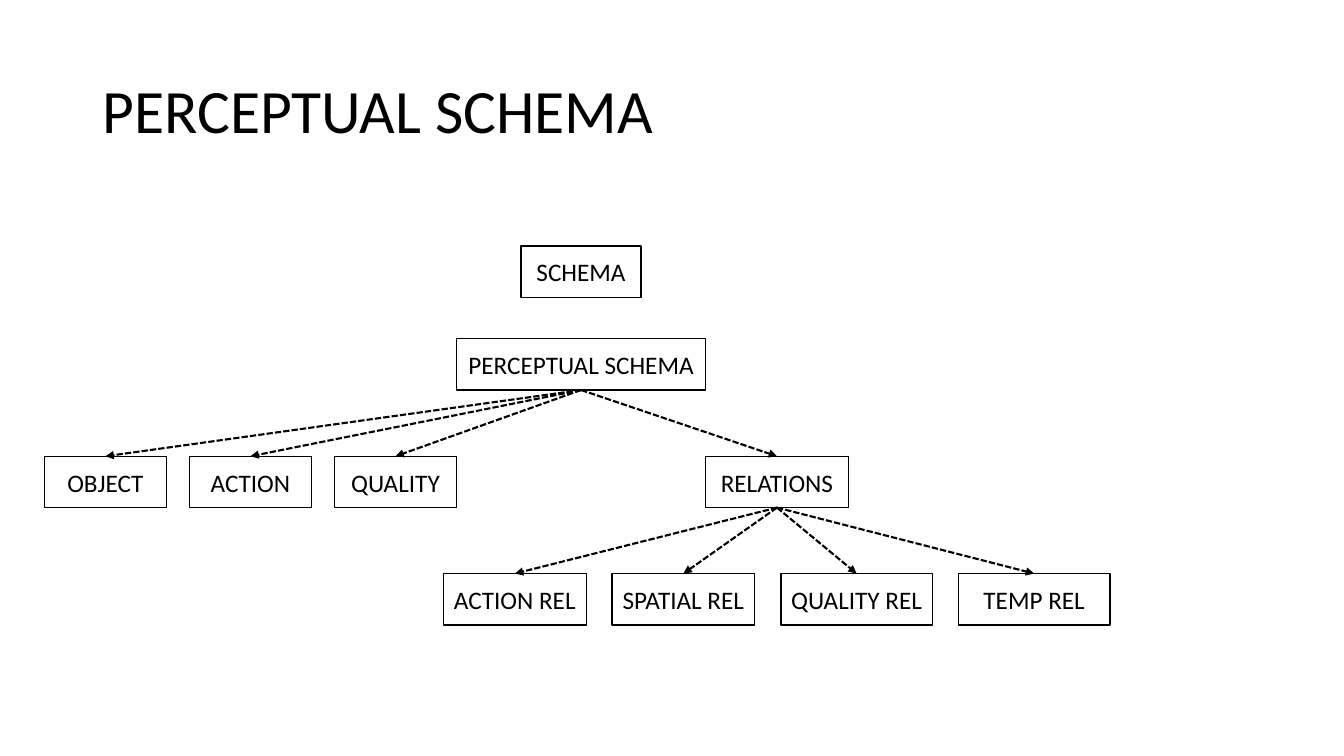
from lxml import etree
from pptx import Presentation
from pptx.dml.color import RGBColor
from pptx.enum.dml import MSO_LINE
from pptx.enum.shapes import MSO_CONNECTOR, MSO_SHAPE
from pptx.enum.text import MSO_ANCHOR, MSO_AUTO_SIZE, PP_ALIGN
from pptx.oxml.ns import qn
from pptx.util import Pt

RECTANGLE = MSO_SHAPE.RECTANGLE
STRAIGHT = MSO_CONNECTOR.STRAIGHT
DASH = MSO_LINE.SQUARE_DOT
MIDDLE = MSO_ANCHOR.MIDDLE
NO_AUTOFIT = MSO_AUTO_SIZE.NONE
LEFT, CENTER = PP_ALIGN.LEFT, PP_ALIGN.CENTER
TOP_SIDE, BOTTOM_SIDE = 0, 2

COLORS = {"ink": "000000", "paper": "FFFFFF"}
FONT = "Calibri"
BOX_HEIGHT = 36.7
TITLE_LAYOUT = 5

# Row tops, and the left edge and width of each box in a row
SCHEMA_TOP, PERCEPTUAL_TOP, KINDS_TOP, RELATIONS_TOP = 175.7, 241.9, 325.9, 409.7
KINDS = [("OBJECT", 31.7, 87.3), ("ACTION", 135.3, 87.3),
         ("QUALITY", 238.9, 87.3), ("RELATIONS", 504, 102)]
RELATIONS = [("ACTION REL", 316.8, 102), ("SPATIAL REL", 437.2, 102),
             ("QUALITY REL", 557.8, 108.2), ("TEMP REL", 684.6, 108.2)]


class SchemaSlide:
    """Holds the style and the current slide."""

    def __init__(self, presentation):
        layout = presentation.slide_layouts[TITLE_LAYOUT]
        self.slide = presentation.slides.add_slide(layout)

    def color(self, name):
        return RGBColor.from_string(COLORS[name])

    def set_text(self, shape, text, size, alignment):
        text_frame = shape.text_frame
        text_frame.text = text
        text_frame.word_wrap = True
        text_frame.auto_size = NO_AUTOFIT
        text_frame.vertical_anchor = MIDDLE
        paragraph = text_frame.paragraphs[0]
        paragraph.alignment = alignment
        font = paragraph.runs[0].font
        font.name, font.size = FONT, Pt(size)
        font.color.rgb = self.color("ink")
        return paragraph

    def title(self, text, left, top, width, height):
        shape = self.slide.shapes.title
        shape.left, shape.top = Pt(left), Pt(top)
        shape.width, shape.height = Pt(width), Pt(height)
        self.set_text(shape, text, 44, LEFT).line_spacing = 0.9

    def box(self, shapes, text, left, top, width):
        shape = shapes.add_shape(RECTANGLE, Pt(left), Pt(top), Pt(width), Pt(BOX_HEIGHT))
        shape.shadow.inherit = False
        shape.fill.solid()
        shape.fill.fore_color.rgb = self.color("paper")
        shape.line.color.rgb = self.color("ink")
        shape.line.width = Pt(1)
        shape.text_frame.margin_left = shape.text_frame.margin_right = Pt(2)
        self.set_text(shape, text, 18, CENTER)
        return shape

    def arrow(self, shapes, parent, child):
        connector = shapes.add_connector(
            STRAIGHT, parent.left + parent.width // 2, parent.top + parent.height,
            child.left + child.width // 2, child.top)
        connector.begin_connect(parent, BOTTOM_SIDE)
        connector.end_connect(child, TOP_SIDE)
        connector.line.color.rgb = self.color("ink")
        connector.line.width = Pt(1.5)
        connector.line.dash_style = DASH
        properties = connector._element.spPr
        etree.SubElement(properties.find(qn("a:ln")), qn("a:tailEnd"), type="triangle")
        etree.SubElement(properties, qn("a:effectLst"))

    def row(self, shapes, items, top):
        return [self.box(shapes, text, left, top, width) for text, left, width in items]


def main():
    presentation = Presentation()
    presentation.slide_width, presentation.slide_height = Pt(960), Pt(540)
    schema_slide = SchemaSlide(presentation)

    # Title
    schema_slide.title("PERCEPTUAL SCHEMA", 66, 28.8, 828, 104.4)

    # Tree of perceptual schemas, kept together as a group
    tree = schema_slide.slide.shapes.add_group_shape().shapes
    root = schema_slide.box(tree, "PERCEPTUAL SCHEMA", 326.2, PERCEPTUAL_TOP, 177.8)
    kinds = schema_slide.row(tree, KINDS, KINDS_TOP)
    relations = schema_slide.row(tree, RELATIONS, RELATIONS_TOP)

    # Arrows from each parent to its children
    for parent, children in ((root, kinds), (kinds[-1], relations)):
        for child in children:
            schema_slide.arrow(tree, parent, child)

    # General schema above the tree
    schema_slide.box(schema_slide.slide.shapes, "SCHEMA", 372.2, SCHEMA_TOP, 85.7)

    presentation.save("out.pptx")


if __name__ == "__main__":
    main()
